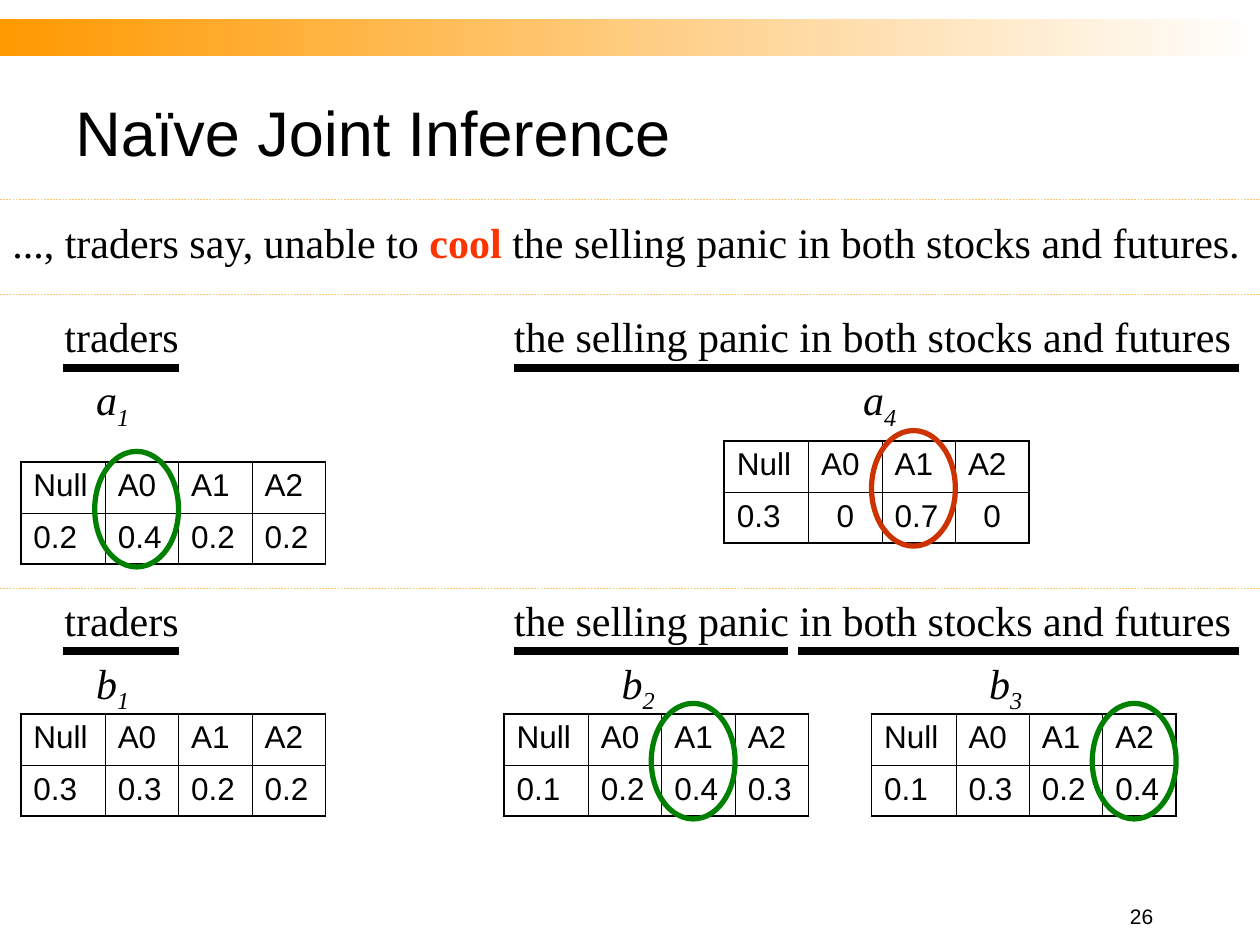
"""Build the Naïve Joint Inference slide with its argument score tables."""
from lxml.etree import SubElement
from pptx import Presentation
from pptx.dml.color import RGBColor
from pptx.enum.dml import MSO_LINE_DASH_STYLE as DASH
from pptx.enum.shapes import MSO_CONNECTOR as CONNECTOR, MSO_SHAPE as SHAPE
from pptx.enum.text import MSO_ANCHOR as ANCHOR, PP_ALIGN as ALIGN
from pptx.oxml.ns import qn
from pptx.util import Cm, Pt

BLACK = RGBColor(0x00, 0x00, 0x00)
WHITE = RGBColor(0xFF, 0xFF, 0xFF)
ORANGE = RGBColor(0xFF, 0x99, 0x00)
SAND = RGBColor(0xFC, 0xC6, 0x6E)
SCARLET = RGBColor(0xFF, 0x33, 0x00)
GREEN = RGBColor(0x00, 0x80, 0x00)
RED = RGBColor(0xCC, 0x33, 0x00)
SANS, SERIF = "Arial", "Times New Roman"

prs = Presentation()
prs.slide_width, prs.slide_height = Cm(25.4), Cm(19.05)
slide = prs.slides.add_slide(prs.slide_layouts[6])
shapes = slide.shapes


def add_text(left, top, width, height, words, size=24, font=SERIF):
    frame = shapes.add_textbox(Cm(left), Cm(top), Cm(width), Cm(height)).text_frame
    frame.word_wrap = True
    for word in words:
        run = frame.paragraphs[0].add_run()
        run.text = word
        run.font.size, run.font.name = Pt(size), font
        run.font.color.rgb = BLACK
    return frame


def add_rule(left, right, y, color, weight):
    rule = shapes.add_connector(CONNECTOR.STRAIGHT, Cm(left), Cm(y), Cm(right), Cm(y))
    rule.line.color.rgb, rule.line.width = color, Pt(weight)
    SubElement(rule._element.spPr, qn("a:effectLst"))
    return rule


banner = shapes.add_shape(SHAPE.RECTANGLE, 0, Cm(0.38), prs.slide_width, Cm(0.76))
banner.shadow.inherit = False
banner.line.fill.background()
banner.fill.gradient()
banner.fill.gradient_angle = 0
for stop, color in zip(banner.fill.gradient_stops, (ORANGE, WHITE)):
    stop.color.rgb = color

title = add_text(1.27, 1.27, 22.86, 2.75, ["Naïve Joint Inference"], 36, SANS)
title.vertical_anchor = ANCHOR.MIDDLE

for y in (4.02, 5.93, 11.85):
    add_rule(0, 25.4, y, SAND, 0.25).line.dash_style = DASH.DASH

sentence = add_text(0, 4.23, 25.4, 1.27, [
    "..., traders say, unable to ", "cool",
    " the selling panic in both stocks and futures."])
predicate = sentence.paragraphs[0].runs[1].font
predicate.bold, predicate.color.rgb = True, SCARLET

candidates = [
    (6.14, [(1.27, 3.6), (10.37, 24.98)],
     [("a", "1", 1.69), ("a", "4", 17.15)]),
    (11.85, [(1.27, 3.6), (10.37, 15.88), (16.09, 24.98)],
     [("b", "1", 1.69), ("b", "2", 12.28), ("b", "3", 19.69)]),
]
for top, underlines, labels in candidates:
    add_text(1.05, top, 3.2, 1.27, ["traders"])
    add_text(10.11, top, 15.29, 1.27, ["the selling panic in both stocks and futures"])
    for left, right in underlines:
        add_rule(left, right, top + 1.27, BLACK, 4.5)
    for letter, index, left in labels:
        label = add_text(left, top + 1.27, 1.48, 1.42, [letter, index])
        for run in label.paragraphs[0].runs:
            run.font.italic = True
        run.font._element.set("baseline", "-25000")

ROLES = ["Null", "A0", "A1", "A2"]
COLUMN_WIDTHS = [1.7, 1.48, 1.48, 1.48]
ROW_HEIGHTS = [1.04, 1.02]
score_tables = [
    (0.42, 9.31, ["0.2", "0.4", "0.2", "0.2"], 1, GREEN),
    (14.6, 8.89, ["0.3", "0", "0.7", "0"], 2, RED),
    (0.42, 14.39, ["0.3", "0.3", "0.2", "0.2"], None, None),
    (10.16, 14.39, ["0.1", "0.2", "0.4", "0.3"], 2, GREEN),
    (17.57, 14.39, ["0.1", "0.3", "0.2", "0.4"], 3, GREEN),
]
for left, top, scores, chosen, color in score_tables:
    table = shapes.add_table(2, 4, Cm(left), Cm(top), Cm(sum(COLUMN_WIDTHS)),
                             Cm(sum(ROW_HEIGHTS))).table
    table.first_row = table.horz_banding = False
    for column, width in zip(table.columns, COLUMN_WIDTHS):
        column.width = Cm(width)
    for r, (height, texts) in enumerate(zip(ROW_HEIGHTS, (ROLES, scores))):
        table.rows[r].height = Cm(height)
        for c, text in enumerate(texts):
            cell = table.cell(r, c)
            paragraph = cell.text_frame.paragraphs[0]
            paragraph.alignment = ALIGN.CENTER if text == "0" else ALIGN.LEFT
            run = paragraph.add_run()
            run.text = text
            run.font.size, run.font.name = Pt(18), SANS
            run.font.color.rgb = BLACK
            edges = {"L": c == 0, "R": c == 3, "T": r == 0, "B": r == 1}
            for side, outer in edges.items():
                border = SubElement(cell._tc.get_or_add_tcPr(), qn(f"a:ln{side}"),
                                    w=str(Pt(1.08 if outer else 0.45)))
                paint = SubElement(border, qn("a:solidFill"))
                SubElement(paint, qn("a:srgbClr"), val=str(BLACK))
            cell.fill.background()
    if chosen is not None:
        ring_left = left + sum(COLUMN_WIDTHS[:chosen]) - 0.21
        ring = shapes.add_shape(SHAPE.OVAL, Cm(ring_left), Cm(top - 0.21),
                                Cm(1.69), Cm(2.33))
        ring.shadow.inherit = False
        ring.fill.background()
        ring.line.color.rgb, ring.line.width = color, Pt(3)

page_number = add_text(20.96, 18.2, 2.54, 0.64, ["26"], 12, SANS)
page_number.vertical_anchor = ANCHOR.BOTTOM
page_number.paragraphs[0].alignment = ALIGN.RIGHT

prs.save("out.pptx")
